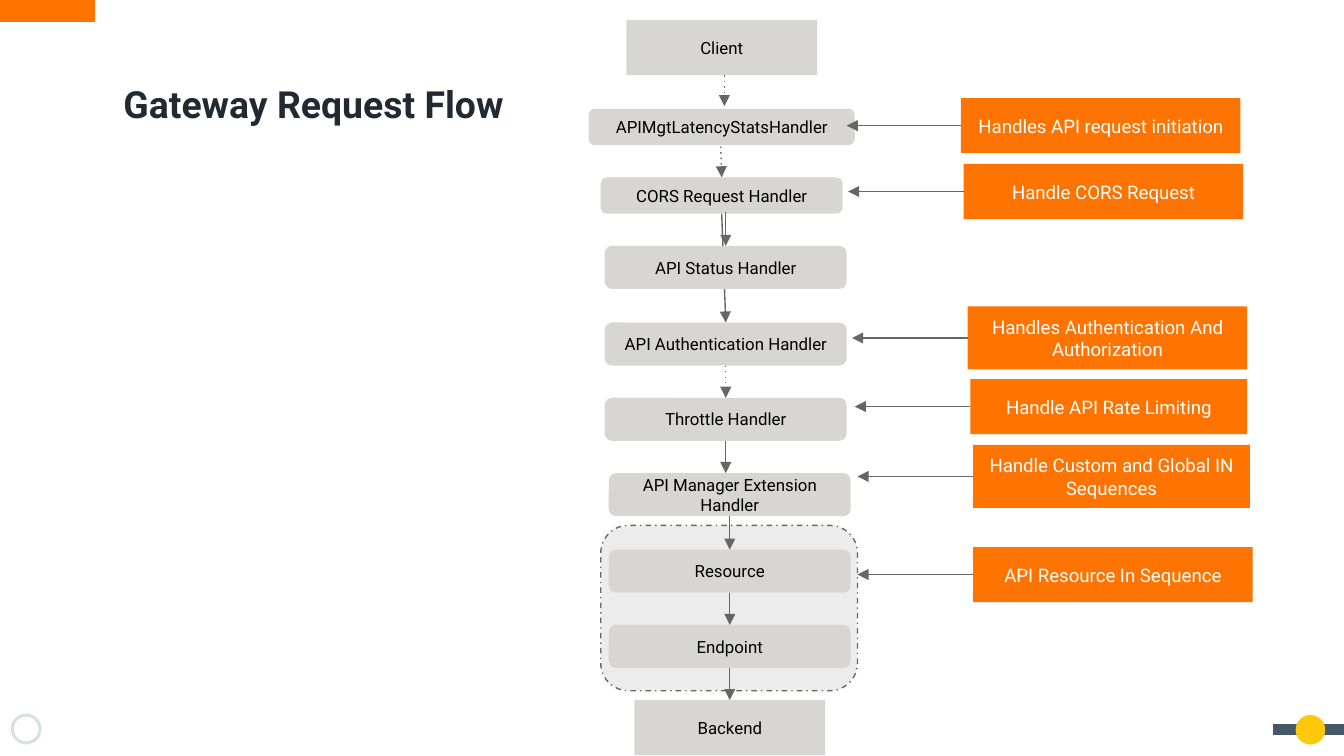
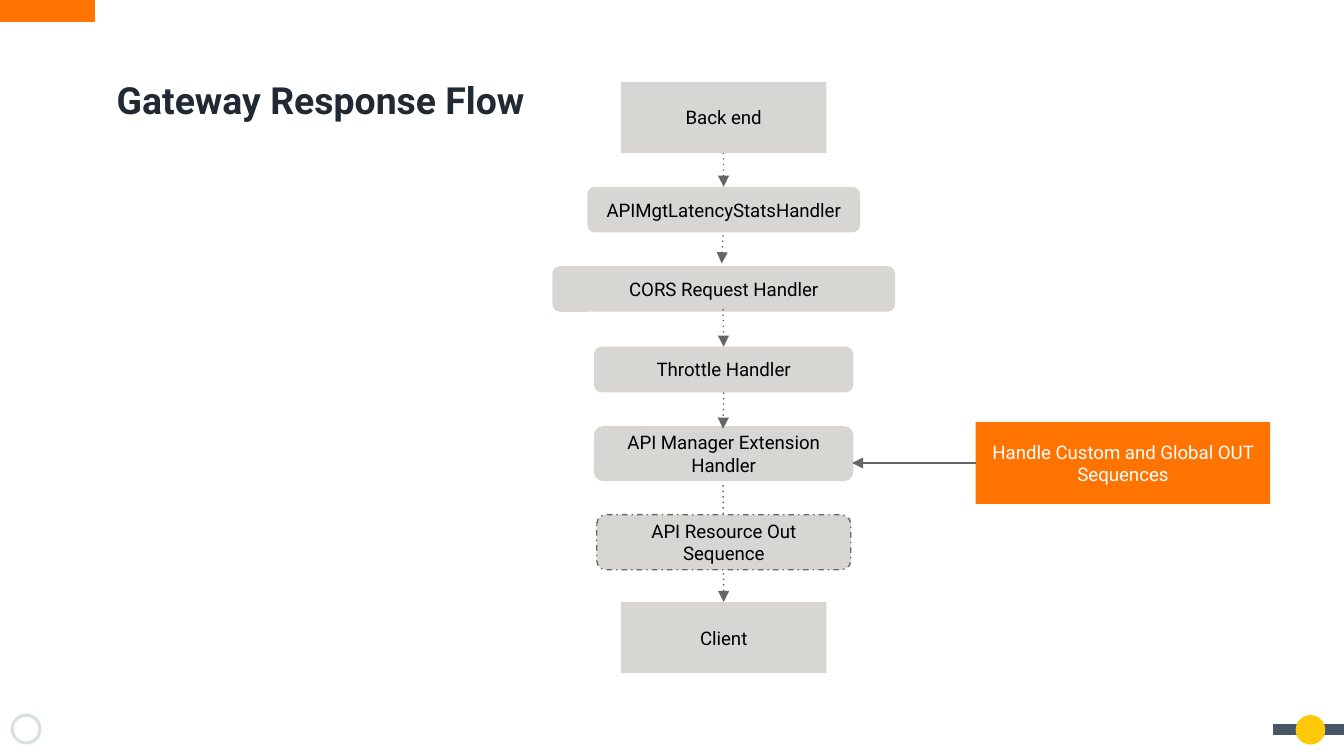
from dataclasses import dataclass

from lxml import etree
from pptx import Presentation
from pptx.dml.color import RGBColor
from pptx.enum.shapes import MSO_CONNECTOR, MSO_SHAPE
from pptx.enum.text import MSO_ANCHOR, PP_ALIGN
from pptx.oxml.ns import qn
from pptx.util import Inches, Pt

STRAIGHT = MSO_CONNECTOR.STRAIGHT
RECT = MSO_SHAPE.RECTANGLE
ROUND = MSO_SHAPE.ROUNDED_RECTANGLE
OVAL = MSO_SHAPE.OVAL
DONUT = MSO_SHAPE.DONUT
MIDDLE = MSO_ANCHOR.MIDDLE
LEFT = PP_ALIGN.LEFT
CENTER = PP_ALIGN.CENTER

FONT = "Roboto"
SNAP = 0.016
COLORS = {
    "orange": "FF7300",
    "slate": "465867",
    "yellow": "FFC808",
    "mint": "D7E2DE",
    "node": "D8D6D2",
    "group": "ECECEC",
    "line": "666666",
    "title": "212A32",
    "black": "000000",
    "white": "FFFFFF",
}
FRAME = {
    "word_wrap": True,
    "vertical_anchor": MIDDLE,
    "margin_left": Inches(0.1),
    "margin_right": Inches(0.1),
    "margin_top": Inches(0.1),
    "margin_bottom": Inches(0.1),
}


@dataclass
class Node:
    text: str
    left: float
    top: float
    width: float
    height: float
    shape: int = ROUND
    fill: str = "node"
    dash: str = ""


@dataclass
class Callout:
    text: str
    left: float
    top: float
    width: float
    height: float
    tip: float


@dataclass
class Arrow:
    x1: float
    y1: float
    x2: float
    y2: float
    dash: str = ""


@dataclass
class Flow:
    title: str
    left: float
    top: float
    node_size: int
    items: list


REQUEST = Flow("Gateway Request Flow", 0.82, 0.53, 9, [
    Node("", 4.47, 3.91, 1.91, 1.23, fill="group", dash="dashDot"),
    Node("CORS Request Handler", 4.47, 1.32, 1.8, 0.27),
    Node("API Authentication Handler", 4.5, 2.4, 1.8, 0.32),
    Arrow(5.36, 1.01, 5.37, 1.32, "dot"),
    Arrow(5.37, 1.59, 5.4, 2.4),
    Callout("Handle CORS Request", 7.17, 1.22, 2.08, 0.41, 6.31),
    Callout("Handles Authentication And Authorization", 7.2, 2.28, 2.08, 0.47, 6.34),
    Node("API Manager Extension Handler", 4.53, 3.52, 1.8, 0.32),
    Node("Resource", 4.53, 4.09, 1.8, 0.32),
    Node("Endpoint", 4.53, 4.65, 1.8, 0.32),
    Callout("Handle Custom and Global IN Sequences", 7.24, 3.31, 2.06, 0.47, 6.38),
    Node("Client", 4.66, 0.15, 1.42, 0.41, RECT),
    Node("Backend", 4.72, 5.21, 1.42, 0.41, RECT),
    Arrow(5.43, 3.84, 5.43, 4.09),
    Callout("API Resource In Sequence", 7.24, 4.07, 2.08, 0.41, 6.38),
    Arrow(5.43, 4.4, 5.43, 4.65),
    Arrow(5.43, 4.97, 5.43, 5.21),
    Node("APIMgtLatencyStatsHandler", 4.38, 0.81, 1.98, 0.27),
    Node("Throttle Handler", 4.5, 2.96, 1.8, 0.32),
    Arrow(5.39, 0.56, 5.39, 0.79, "dot"),
    Arrow(5.4, 2.71, 5.4, 2.96, "dot"),
    Arrow(5.4, 3.28, 5.4, 3.52),
    Callout("Handle API Rate Limiting", 7.22, 2.82, 2.06, 0.41, 6.36),
    Callout("Handles API request initiation", 7.15, 0.73, 2.08, 0.41, 6.3),
    Node("API Status Handler", 4.5, 1.83, 1.8, 0.32),
    Arrow(5.4, 1.58, 5.4, 1.83),
])

RESPONSE = Flow("Gateway Response Flow", 0.77, 0.5, 10, [
    Node("Throttle Handler", 4.42, 2.58, 1.93, 0.34),
    Node("APIMgtLatencyStatsHandler", 4.37, 1.39, 2.03, 0.34),
    Arrow(5.38, 0.85, 5.37, 1.38, "dot"),
    Node("API Manager Extension Handler", 4.42, 3.17, 1.93, 0.41),
    Callout("Handle Custom and Global OUT Sequences", 7.26, 3.14, 2.19, 0.61, 6.34),
    Node("Client", 4.62, 4.48, 1.53, 0.53, RECT),
    Arrow(5.38, 3.61, 5.37, 4.48, "dot"),
    Node("Back end", 4.62, 0.61, 1.53, 0.53, RECT),
    Node("API Resource Out Sequence", 4.44, 3.83, 1.89, 0.41, dash="dashDot"),
    Arrow(5.38, 1.75, 5.37, 1.96, "dot"),
    Node("CORS Request Handler", 4.11, 1.98, 2.55, 0.34),
    Arrow(5.38, 2.3, 5.38, 2.58, "dot"),
    Arrow(5.38, 2.91, 5.38, 3.19, "dot"),
])


def rgb(name: str) -> RGBColor:
    return RGBColor.from_string(COLORS[name])


def set_text(sp, text: str, size: int, color: str, align=CENTER, bold: bool = False) -> None:
    tf = sp.text_frame
    for name, value in FRAME.items():
        setattr(tf, name, value)
    p = tf.paragraphs[0]
    p.alignment = align
    r = p.add_run()
    r.text = text
    for name, value in {"name": FONT, "size": Pt(size), "bold": bold}.items():
        setattr(r.font, name, value)
    r.font.color.rgb = rgb(color)


def set_line(sp, color: str, width: float, dash: str = "", arrow: bool = False) -> None:
    sp.line.color.rgb = rgb(color)
    sp.line.width = Pt(width)
    ln = sp.element.spPr.find(qn("a:ln"))
    if dash:
        etree.SubElement(ln, qn("a:prstDash"), val=dash)
    if arrow:
        etree.SubElement(ln, qn("a:tailEnd"), type="triangle")


def add_shape(s, kind: int, left: float, top: float, width: float, height: float, fill: str):
    sp = s.shapes.add_shape(kind, Inches(left), Inches(top), Inches(width), Inches(height))
    sp.shadow.inherit = False
    sp.fill.solid()
    sp.fill.fore_color.rgb = rgb(fill)
    sp.line.fill.background()
    return sp


def add_line(s, x1: float, y1: float, x2: float, y2: float, color: str, width: float,
             dash: str = "", arrow: bool = False):
    cn = s.shapes.add_connector(STRAIGHT, Inches(x1), Inches(y1), Inches(x2), Inches(y2))
    set_line(cn, color, width, dash, arrow)
    etree.SubElement(cn.element.spPr, qn("a:effectLst"))
    return cn


def find_side(boxes: list, x: float, y: float):
    for sp, b in boxes:
        mid_x, mid_y = b.left + b.width / 2, b.top + b.height / 2
        sides = ((mid_x, b.top), (b.left, mid_y),
                 (mid_x, b.top + b.height), (b.left + b.width, mid_y))
        for i, (side_x, side_y) in enumerate(sides):
            if abs(side_x - x) < SNAP and abs(side_y - y) < SNAP:
                return sp, i
    return None


def draw_arrow(s, a: Arrow, boxes: list) -> None:
    cn = add_line(s, a.x1, a.y1, a.x2, a.y2, "line", 0.75, a.dash, True)
    begin, end = find_side(boxes, a.x1, a.y1), find_side(boxes, a.x2, a.y2)
    if begin:
        cn.begin_connect(*begin)
    if end:
        cn.end_connect(*end)


def draw_node(s, n: Node, size: int, boxes: list) -> None:
    sp = add_shape(s, n.shape, n.left, n.top, n.width, n.height, n.fill)
    if n.dash:
        set_line(sp, "line", 0.75, n.dash)
    if n.text:
        set_text(sp, n.text, size, "black")
    boxes.append((sp, n))


def draw_callout(s, c: Callout, boxes: list) -> None:
    sp = add_shape(s, RECT, c.left, c.top, c.width, c.height, "orange")
    set_text(sp, c.text, 10, "white")
    boxes.append((sp, c))
    mid_y = c.top + c.height / 2
    draw_arrow(s, Arrow(c.left, mid_y, c.tip, mid_y), boxes)


def draw_frame(s) -> None:
    s.background.fill.solid()
    s.background.fill.fore_color.rgb = rgb("white")
    add_line(s, 0, 0.08, 0.71, 0.08, "orange", 12)
    add_line(s, 9.47, 5.43, 10, 5.43, "slate", 6)
    add_shape(s, OVAL, 9.64, 5.32, 0.22, 0.22, "yellow")
    ring = add_shape(s, DONUT, 0.08, 5.31, 0.23, 0.23, "mint")
    ring.adjustments[0] = 0.1


def draw_flow(prs, flow: Flow) -> None:
    s = prs.slides.add_slide(prs.slide_layouts[6])
    draw_frame(s)
    boxes = []
    for item in flow.items:
        if isinstance(item, Node):
            draw_node(s, item, flow.node_size, boxes)
        elif isinstance(item, Callout):
            draw_callout(s, item, boxes)
        else:
            draw_arrow(s, item, boxes)
    title = s.shapes.add_textbox(Inches(flow.left), Inches(flow.top), Inches(8.51), Inches(0.48))
    set_text(title, flow.title, 20, "title", LEFT, True)


def main() -> None:
    prs = Presentation()
    prs.slide_width = Inches(10)
    prs.slide_height = Inches(10) * 9 // 16
    for flow in (REQUEST, RESPONSE):
        draw_flow(prs, flow)
    prs.save("out.pptx")


if __name__ == "__main__":
    main()
